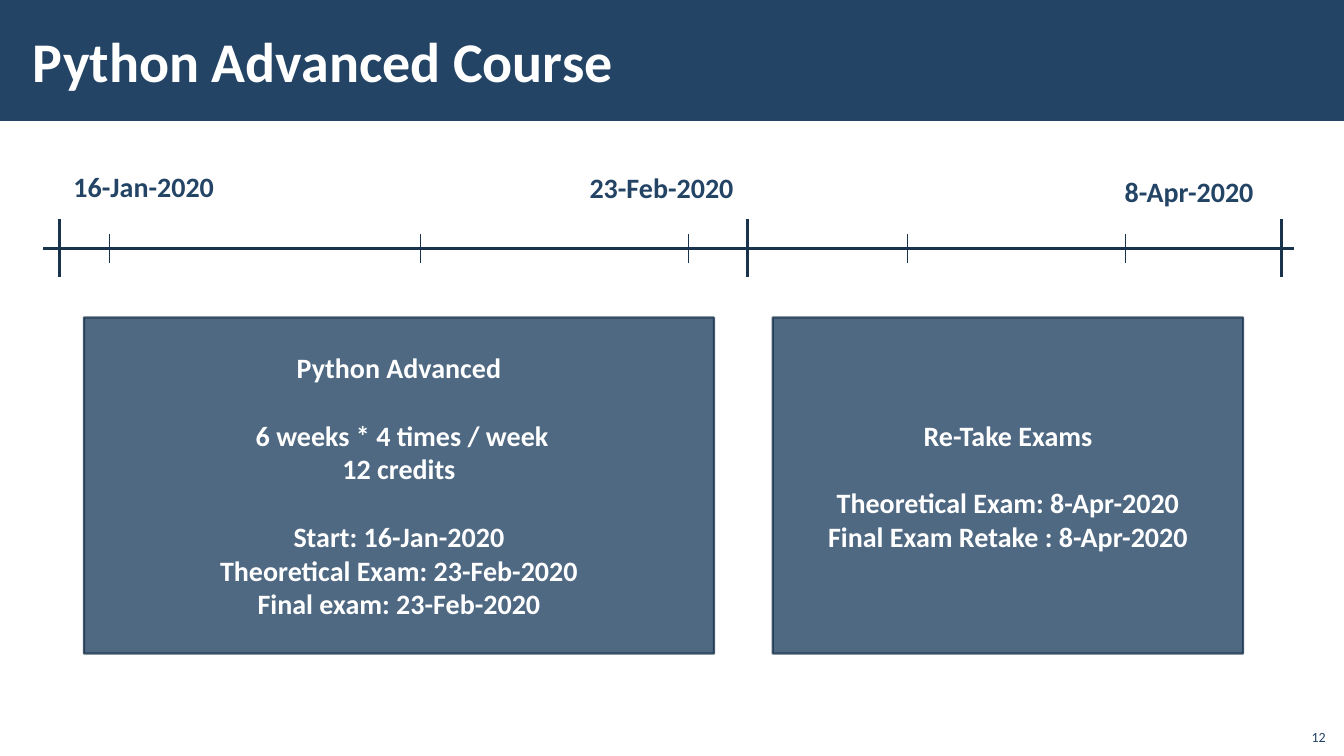
from lxml.etree import SubElement
from pptx import Presentation
from pptx.dml.color import RGBColor
from pptx.enum.shapes import MSO_CONNECTOR as CONN, MSO_SHAPE as SHAPE
from pptx.enum.text import MSO_ANCHOR as ANCHOR, MSO_AUTO_SIZE as FIT, PP_ALIGN as ALIGN
from pptx.oxml.ns import qn
from pptx.util import Pt

NAVY = RGBColor(0x23, 0x44, 0x65)
INK = RGBColor(0x1A, 0x33, 0x4C)
WHITE = RGBColor(0xFF, 0xFF, 0xFF)

AXIS_Y = 177.3
LONG_TICK, SHORT_TICK = 41, 20.5
LONG_TICKS = (42.5, 534.2, 915.1)
SHORT_TICKS = (77.8, 300.2, 491.8, 648, 804.2)
DATES = (
    ("16-Jan-2020", 45.4, 117.4, 116),
    ("23-Feb-2020", 414, 118, 118),
    ("8-Apr-2020", 796.3, 121, 108),
)
# Each box holds groups of lines, set apart by one line of space
BOXES = (
    (60, 450, (
        ("Python Advanced",),
        (" 6 weeks * 4 times / week", "12 credits"),
        ("Start: 16-Jan-2020", "Theoretical Exam: 23-Feb-2020", "Final exam: 23-Feb-2020"),
    )),
    (552, 336, (
        ("Re-Take Exams",),
        ("Тheoretical Exam: 8-Apr-2020", "Final Exam Retake : 8-Apr-2020"),
    )),
)


def put(target, **values):
    for name, value in values.items():
        setattr(target, name, value)


def set_alpha(parent, percent):
    """Give the solid fill directly under an XML element the stated opacity."""
    color = parent.find(qn("a:solidFill"))[0]
    SubElement(color, qn("a:alpha"), val=str(percent * 1000))


class Deck:
    def __init__(self, width, height, font):
        self.prs = Presentation()
        put(self.prs, slide_width=Pt(width), slide_height=Pt(height))
        self.width, self.font = width, font
        self.s = self.prs.slides.add_slide(self.prs.slide_layouts[5])

    def add_text(self, p, text, size, color, bold=True, align=ALIGN.LEFT):
        p.alignment = align
        r = p.add_run()
        r.text = text
        put(r.font, name=self.font, size=Pt(size), bold=bold)
        r.font.color.rgb = color

    def rect(self, x, y, w, h):
        sp = self.s.shapes.add_shape(SHAPE.RECTANGLE, Pt(x), Pt(y), Pt(w), Pt(h))
        sp.shadow.inherit = False
        sp.fill.solid()
        sp.fill.fore_color.rgb = NAVY
        return sp

    def title(self, text, band_height):
        band = self.rect(0, 0, self.width, band_height)
        band.line.fill.background()
        sp = self.s.shapes.title
        sp.element.addprevious(band.element)
        put(sp, left=Pt(15), top=Pt(8), width=Pt(765), height=Pt(70))
        put(sp.text_frame, auto_size=FIT.NONE, vertical_anchor=ANCHOR.MIDDLE,
            margin_left=Pt(8.5), margin_right=Pt(8.5), margin_top=Pt(3), margin_bottom=Pt(3))
        self.add_text(sp.text_frame.paragraphs[0], text, 40, WHITE)

    def line(self, x1, y1, x2, y2, weight):
        cx = self.s.shapes.add_connector(CONN.STRAIGHT, Pt(x1), Pt(y1), Pt(x2), Pt(y2))
        cx.line.color.rgb = INK
        cx.line.width = Pt(weight)
        SubElement(cx.element.spPr, qn("a:effectLst"))

    def tick(self, x, length, weight):
        self.line(x, AXIS_Y - length / 2, x, AXIS_Y + length / 2, weight)

    def label(self, text, x, y, w, h=31.5, size=20, **style):
        tf = self.s.shapes.add_textbox(Pt(x), Pt(y), Pt(w), Pt(h)).text_frame
        self.add_text(tf.paragraphs[0], text, size, NAVY, **style)
        return tf

    def box(self, x, y, w, h, groups):
        sp = self.rect(x, y, w, h)
        sp.line.color.rgb = INK
        sp.line.width = Pt(1.5)
        sp_pr = sp.element.spPr
        for parent in (sp_pr, sp_pr.find(qn("a:ln"))):
            set_alpha(parent, 80)
        tf = sp.text_frame
        put(tf, word_wrap=True, vertical_anchor=ANCHOR.MIDDLE)
        p = tf.paragraphs[0]
        for g, group in enumerate(groups):
            for i, text in enumerate(group):
                if g or i:
                    p = tf.add_paragraph()
                if g and not i:
                    p.space_before = Pt(24.4)
                self.add_text(p, text, 20, WHITE, align=ALIGN.CENTER)


def main():
    deck = Deck(960, 540, "Calibri")
    deck.title("Python Advanced Course", 86.4)
    deck.line(31, AXIS_Y, 924, AXIS_Y, 2.25)
    for x in LONG_TICKS:
        deck.tick(x, LONG_TICK, 2.25)
    for x in SHORT_TICKS:
        deck.tick(x, SHORT_TICK, 0.5)
    for text, x, y, w in DATES:
        deck.label(text, x, y, w)
    for x, w, groups in BOXES:
        deck.box(x, 226.8, w, 240, groups)
    number = deck.label("12", 925, 512.6, 29, 23, 10, bold=False, align=ALIGN.RIGHT)
    put(number, word_wrap=True, vertical_anchor=ANCHOR.BOTTOM)
    deck.prs.save("out.pptx")


if __name__ == "__main__":
    main()
